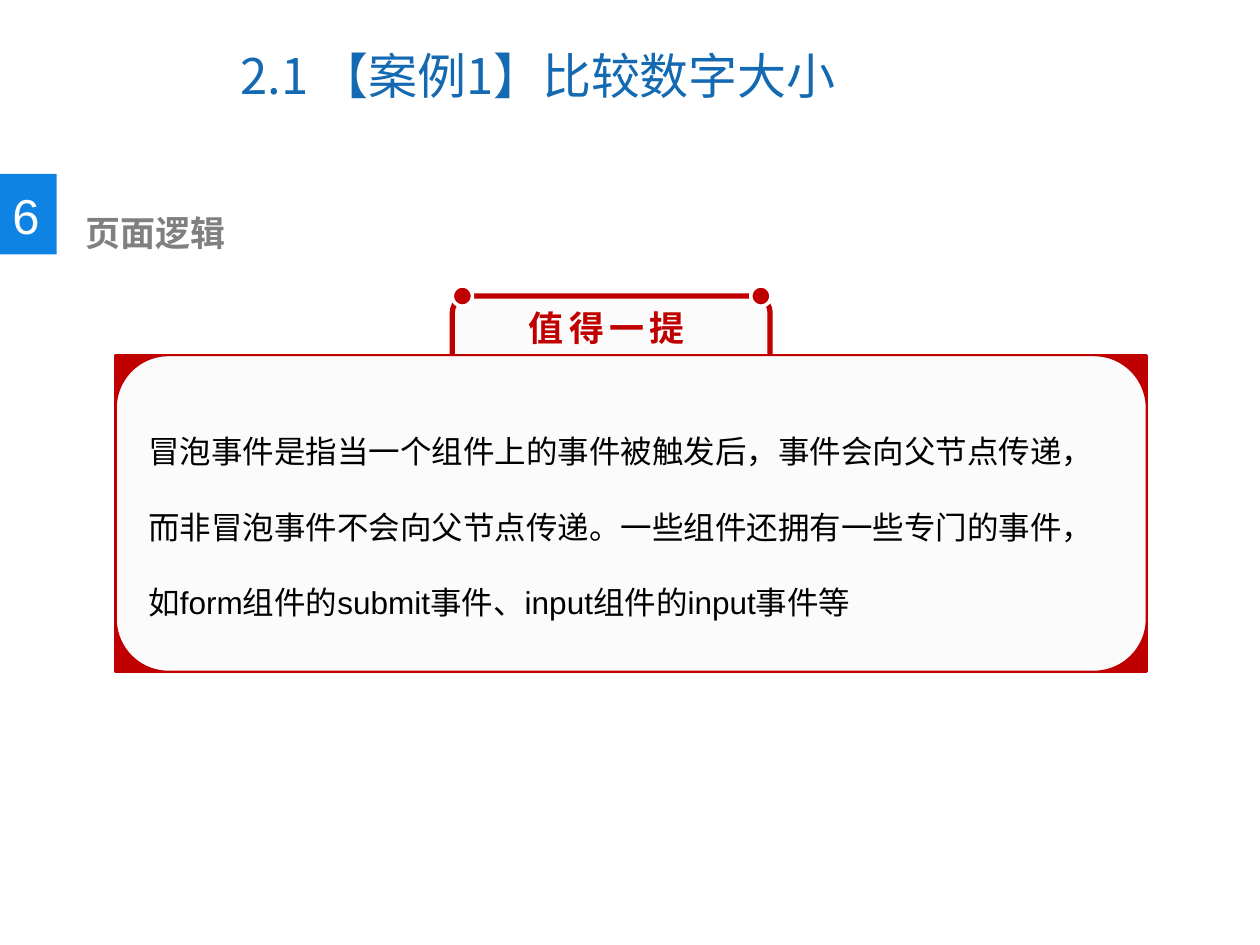
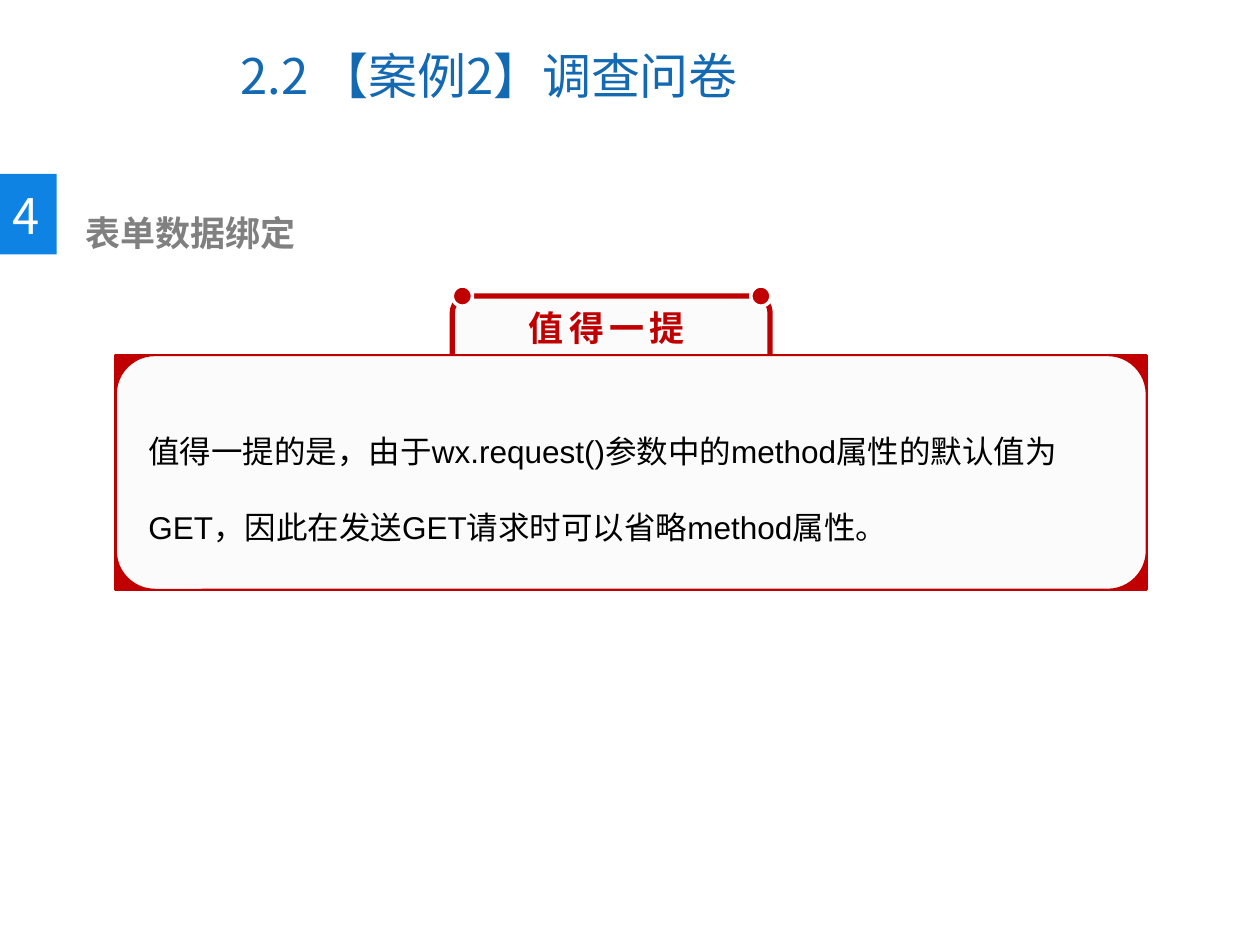
from lxml import etree
from pptx import Presentation
from pptx.dml.color import RGBColor
from pptx.enum.shapes import MSO_SHAPE
from pptx.enum.text import MSO_ANCHOR
from pptx.oxml.ns import qn
from pptx.util import Pt

TITLE_BLUE = RGBColor(0x13, 0x69, 0xB2)
BADGE_BLUE = RGBColor(0x0F, 0x83, 0xE3)
GREY = RGBColor(0x80, 0x80, 0x80)
RED = RGBColor(0xC0, 0x00, 0x00)
PALE = RGBColor(0xFB, 0xFB, 0xFB)
WHITE = RGBColor(0xFF, 0xFF, 0xFF)
BLACK = RGBColor(0x00, 0x00, 0x00)
LATIN = "Arial"
CHINESE = "Noto Sans CJK SC"
RECTANGLE = MSO_SHAPE.RECTANGLE
ROUNDED = MSO_SHAPE.ROUNDED_RECTANGLE
PROCESS = MSO_SHAPE.FLOWCHART_PROCESS
ALTERNATE = MSO_SHAPE.FLOWCHART_ALTERNATE_PROCESS
OVAL = MSO_SHAPE.OVAL
TOP = MSO_ANCHOR.TOP
MIDDLE = MSO_ANCHOR.MIDDLE

TITLE_STYLE = {"size": Pt(28), "name": CHINESE}
BADGE_STYLE = {"size": Pt(28)}
HEADING_STYLE = {"size": Pt(20), "name": CHINESE, "bold": True}
BODY_STYLE = {"size": Pt(18), "name": LATIN}

PANEL_LEFT, PANEL_TOP, PANEL_WIDTH = 66.24, 203.04, 588.96
TAB_LEFT, TAB_WIDTH, DOT_SIZE = 258.48, 181.6, 11.52

PAGES = [
    {
        "title": "2.1 【案例1】比较数字大小",
        "number": "6",
        "number_font": LATIN,
        "heading": "页面逻辑",
        "panel_height": 180.72,
        "note": "冒泡事件是指当一个组件上的事件被触发后，事件会向父节点传递，"
                "而非冒泡事件不会向父节点传递。一些组件还拥有一些专门的事件，"
                "如form组件的submit事件、input组件的input事件等",
    },
    {
        "title": "2.2 【案例2】调查问卷",
        "number": "4",
        "number_font": CHINESE,
        "heading": "表单数据绑定",
        "panel_height": 133.92,
        "note": "值得一提的是，由于wx.request()参数中的method属性的默认值为GET，"
                "因此在发送GET请求时可以省略method属性。",
    },
]


class Lesson:
    """Holds the deck, its style and the slide being built."""

    def __init__(self):
        self.deck = Presentation()
        self.deck.slide_width, self.deck.slide_height = Pt(720), Pt(540)
        self.page = None

    def add_page(self):
        self.page = self.deck.slides.add_slide(self.deck.slide_layouts[6])

    def add_shape(self, kind, left, top, width, height, fill, line=None, weight=0):
        shape = self.page.shapes.add_shape(kind, Pt(left), Pt(top), Pt(width), Pt(height))
        shape.shadow.inherit = False
        shape.fill.solid()
        shape.fill.fore_color.rgb = fill
        if line is None:
            shape.line.fill.background()
        else:
            shape.line.color.rgb = line
            shape.line.width = Pt(weight)

    def add_text(self, text, left, top, width, height, style, color,
                 wrap=True, anchor=TOP, spacing=None, tracking=None):
        box = self.page.shapes.add_textbox(Pt(left), Pt(top), Pt(width), Pt(height))
        frame = box.text_frame
        frame.word_wrap = wrap
        frame.vertical_anchor = anchor
        para = frame.paragraphs[0]
        para.line_spacing = spacing
        span = para.add_run()
        span.text = text
        for key, value in style.items():
            setattr(span.font, key, value)
        span.font.color.rgb = color
        properties = span.font._element
        if style["name"] == CHINESE:
            latin = properties.find(qn("a:latin"))
            east_asian = etree.Element(qn("a:ea"), typeface=CHINESE)
            latin.addnext(east_asian)
        if tracking:
            properties.set("spc", str(tracking * 100))

    def add_title(self, text):
        self.add_text(text, 130.32, 12.24, 371.52, 61.2, TITLE_STYLE, TITLE_BLUE, anchor=MIDDLE)

    def add_heading(self, number, number_font, heading):
        self.add_shape(RECTANGLE, 0, 99.36, 32.4, 46.08, BADGE_BLUE)
        self.add_text(number, 0, 102.24, 30.24, 41.04,
                      {**BADGE_STYLE, "name": number_font}, WHITE, wrap=False)
        self.add_text(heading, 41.6, 117.36, 362, 31.68, HEADING_STYLE, GREY)

    def add_note(self, text, height):
        self.add_shape(ROUNDED, TAB_LEFT, 169.2, TAB_WIDTH, 56.88, PALE, RED, 3)
        for kind, fill, weight in ((PROCESS, RED, 2), (ALTERNATE, PALE, 1)):
            self.add_shape(kind, PANEL_LEFT, PANEL_TOP, PANEL_WIDTH, height, fill, RED, weight)
        for left in (TAB_LEFT, TAB_LEFT + TAB_WIDTH - DOT_SIZE + 0.5):
            self.add_shape(OVAL, left, 163.44, DOT_SIZE, DOT_SIZE, RED, WHITE, 2)
        self.add_text("值得一提", 295.2, 171.36, 108, 31.68, HEADING_STYLE, RED,
                      wrap=False, tracking=3)
        self.add_text(text, 77.76, 221.76, 568.08, height - 42, BODY_STYLE, BLACK, spacing=2.0)


def main():
    lesson = Lesson()
    for content in PAGES:
        lesson.add_page()
        lesson.add_title(content["title"])
        lesson.add_heading(content["number"], content["number_font"], content["heading"])
        lesson.add_note(content["note"], content["panel_height"])
    lesson.deck.save("out.pptx")


if __name__ == "__main__":
    main()
